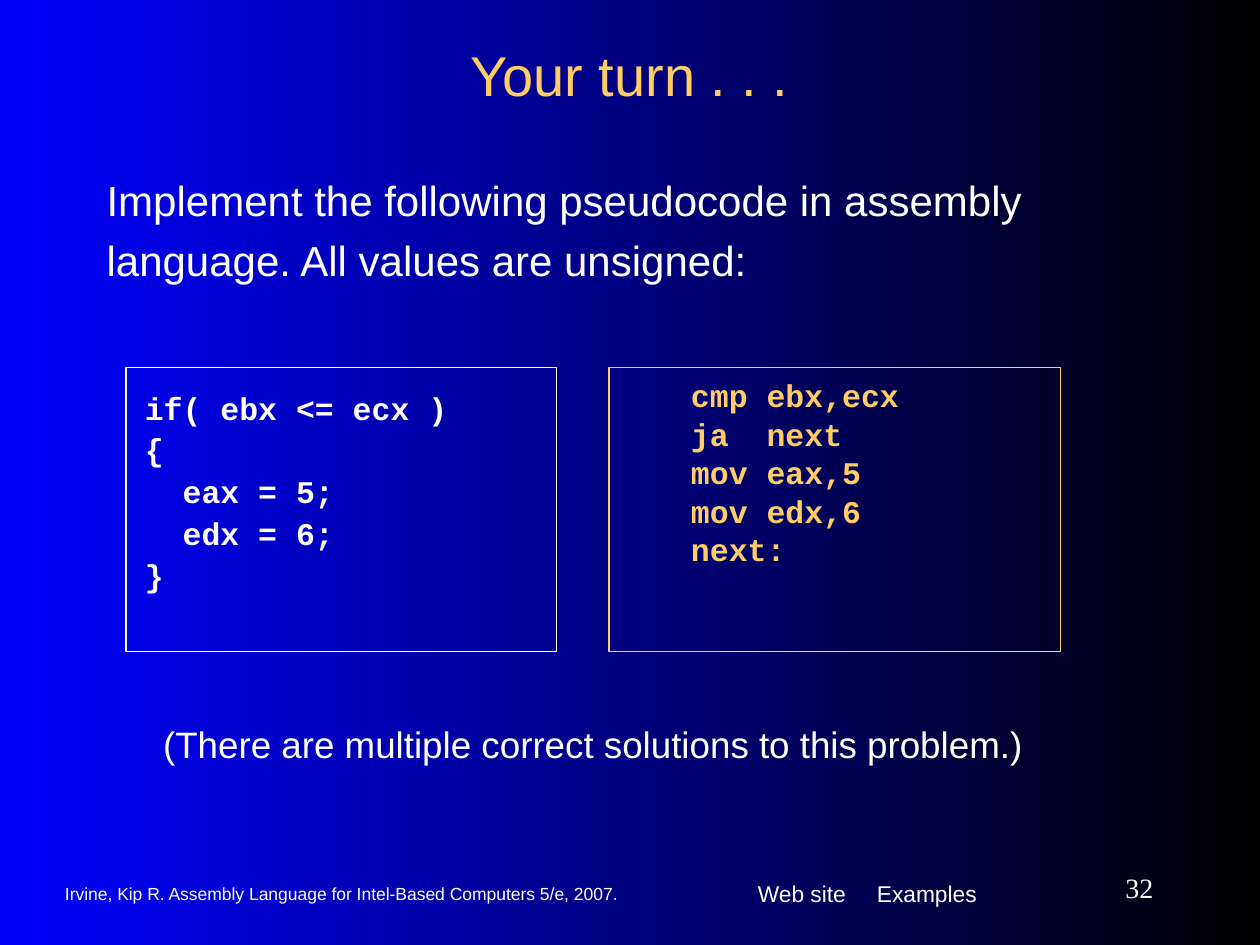
"""Build the assembly-language exercise slide with its pseudocode and solution."""
from lxml import etree
from pptx import Presentation
from pptx import util as u
from pptx.dml.color import RGBColor
from pptx.enum import shapes, text
from pptx.oxml.ns import qn

COLORS = {"white": "FFFFFF", "gold": "FFCC66", "blue": "0000FF", "black": "000000"}
LEFT, CENTER, RIGHT = text.PP_ALIGN.LEFT, text.PP_ALIGN.CENTER, text.PP_ALIGN.RIGHT
TOP, MIDDLE = text.MSO_ANCHOR.TOP, text.MSO_ANCHOR.MIDDLE


def rgb(name):
    return RGBColor.from_string(COLORS[name])


def write(frame, lines, size=18, font="Arial", color="white", bold=False, align=LEFT,
          anchor=TOP, insets=(0.25, 0.13), indent=0, spacing=None, before=0, tab=None):
    frame.word_wrap = True
    frame.auto_size = text.MSO_AUTO_SIZE.NONE
    frame.vertical_anchor = anchor
    side, edge = map(u.Cm, insets)
    frame.margin_left, frame.margin_right = side + u.Cm(indent), side
    frame.margin_top = frame.margin_bottom = edge
    for number, line in enumerate(lines.split("\n")):
        paragraph = frame.add_paragraph() if number else frame.paragraphs[0]
        paragraph.alignment = align
        paragraph.space_before = u.Pt(before if number else 0)
        if spacing:
            paragraph.line_spacing = spacing
        if tab:
            stops = etree.SubElement(paragraph._p.get_or_add_pPr(), qn("a:tabLst"))
            etree.SubElement(stops, qn("a:tab"), pos=str(u.Cm(tab)), algn="l")
        run = paragraph.add_run()
        run.text = line
        run.font.size, run.font.name, run.font.bold = u.Pt(size), font, bold
        run.font.color.rgb = rgb(color)


class ExerciseSlide:
    def __init__(self, deck):
        self.slide = deck.slides.add_slide(deck.slide_layouts[5])

    def background(self, start, end):
        fill = self.slide.background.fill
        fill.gradient()
        fill.gradient_angle = 0
        for stop, color, position in zip(fill.gradient_stops, (start, end), (0, 1)):
            stop.color.rgb = rgb(color)
            stop.position = position

    def title(self, box, words, **style):
        heading = self.slide.shapes.title
        heading.left, heading.top, heading.width, heading.height = map(u.Cm, box)
        write(heading.text_frame, words, **style)

    def label(self, box, words, **style):
        area = self.slide.shapes.add_textbox(*map(u.Cm, box))
        write(area.text_frame, words, **style)

    def code(self, box, listing, color, **style):
        panel = self.slide.shapes.add_shape(shapes.MSO_SHAPE.RECTANGLE, *map(u.Cm, box))
        panel.shadow.inherit = False
        panel.fill.background()
        panel.line.color.rgb = rgb(color)
        panel.line.width = u.Pt(0.75)
        write(panel.text_frame, listing, font="Courier New", bold=True, color=color,
              insets=(0.38, 0.51), **style)


def main():
    deck = Presentation()
    deck.slide_width, deck.slide_height = u.Cm(25.4), u.Cm(19.05)
    exercise = ExerciseSlide(deck)
    exercise.background("blue", "black")
    exercise.title((1.9, 0.64, 21.59, 1.69), "Your turn . . .", size=32, color="gold",
                   align=CENTER, anchor=MIDDLE)
    exercise.label((1.9, 3.18, 21.59, 3.39),
                   "Implement the following pseudocode in assembly language. "
                   "All values are unsigned:", size=24, spacing=1.2)
    exercise.code((12.28, 7.41, 9.1, 5.72),
                  "cmp ebx,ecx\nja  next\nmov eax,5\nmov edx,6\nnext:",
                  "gold", indent=1.27, spacing=0.5, before=11.2)
    exercise.code((2.54, 7.41, 8.68, 5.72),
                  "if( ebx <= ecx )\n{\n  eax = 5;\n  edx = 6;\n}",
                  "white", spacing=0.9, before=4.5)
    exercise.label((1.9, 14.18, 20.11, 1.65),
                   "(There are multiple correct solutions to this problem.)",
                   size=21, align=CENTER, insets=(0.25, 0.38))
    exercise.label((1.06, 17.6, 13.12, 0.84),
                   "Irvine, Kip R. Assembly Language for Intel-Based Computers 5/e, 2007.",
                   size=10, anchor=MIDDLE)
    exercise.label((15.03, 17.36, 5.72, 1.32), "Web site\tExamples", size=13,
                   insets=(0.25, 0.38), tab=2.4)
    exercise.label((20.75, 17.36, 2.75, 1.06), "32", size=16, font="Times New Roman",
                   align=RIGHT, anchor=MIDDLE)
    deck.save("out.pptx")


if __name__ == "__main__":
    main()
